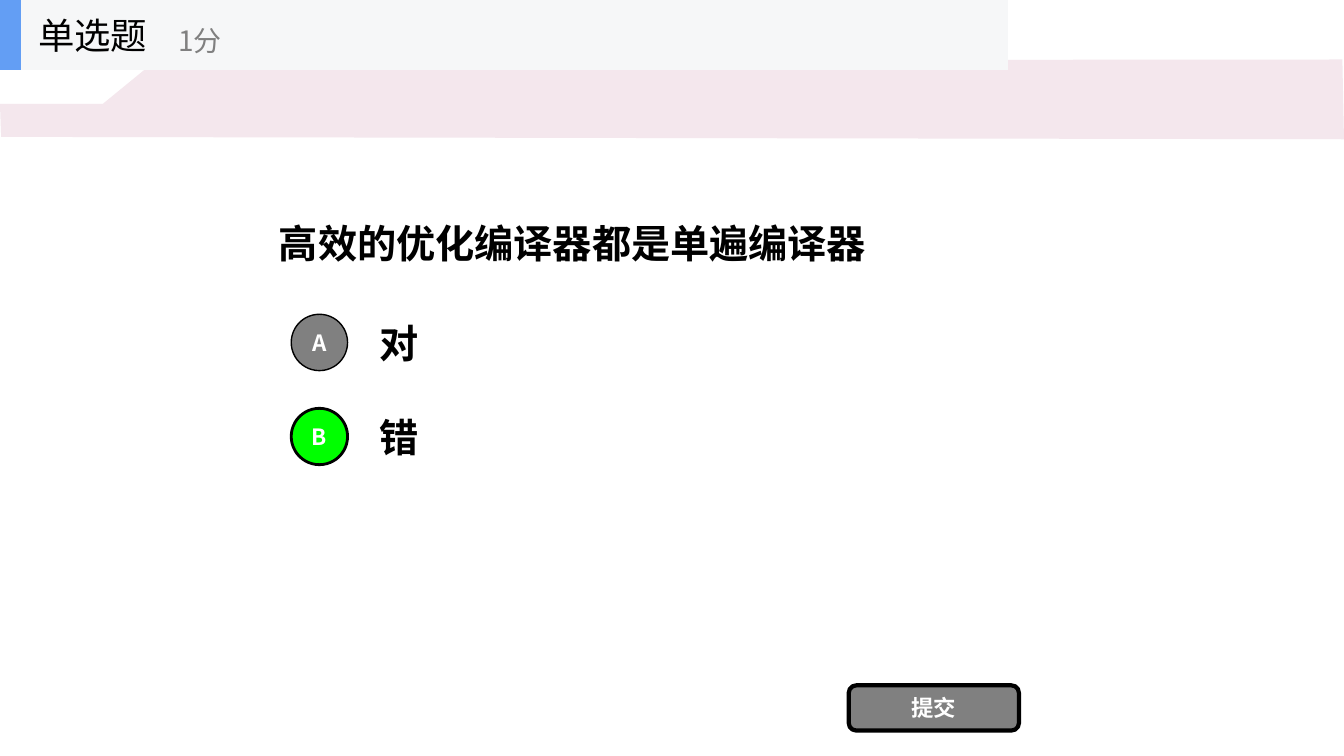
"""Build a single-choice quiz slide with two options and a submit button."""
from lxml.etree import SubElement
from pptx import Presentation
from pptx.dml.color import RGBColor
from pptx.enum.shapes import MSO_SHAPE as Preset
from pptx.enum.text import MSO_ANCHOR as Anchor, PP_ALIGN as Align
from pptx.oxml.ns import qn
from pptx.util import Cm, Pt

COLORS = {
    "black": "000000",
    "white": "FFFFFF",
    "gray": "808080",
    "green": "00FF00",
    "blue": "639EF4",
    "header": "F6F7F8",
    "band": "F4E7ED",
}


class QuizSlide:
    """Holds the quiz style and the slide being built."""

    def __init__(self, presentation, font_name):
        self.slide = presentation.slides.add_slide(presentation.slide_layouts[6])
        self.font_name = font_name

    def paint(self, shape, fill, line_width=0):
        """Give a shape its fill and optional black outline."""
        shape.shadow.inherit = False
        shape.fill.solid()
        shape.fill.fore_color.rgb = RGBColor.from_string(COLORS[fill])
        if line_width:
            shape.line.color.rgb = RGBColor.from_string(COLORS["black"])
            shape.line.width = Pt(line_width)
        else:
            shape.line.fill.background()

    def add_caption(self, shape, text, size, color, bold, align):
        """Put one vertically centred run into a shape."""
        frame = shape.text_frame
        frame.word_wrap = True
        frame.vertical_anchor = Anchor.MIDDLE
        paragraph = frame.paragraphs[0]
        paragraph.alignment = align
        run = paragraph.add_run()
        run.text = text
        run.font.size = Pt(size)
        run.font.bold = bold
        run.font.color.rgb = RGBColor.from_string(COLORS[color])
        run.font.name = self.font_name
        east_asian = SubElement(run.font._element, qn("a:ea"))
        east_asian.set("typeface", self.font_name)

    def band(self, points, fill):
        """Draw a closed outline through points given in centimetres."""
        corners = [(Cm(x), Cm(y)) for x, y in points]
        builder = self.slide.shapes.build_freeform(*corners[0])
        builder.add_line_segments(corners[1:], close=True)
        self.paint(builder.convert_to_shape(), fill)

    def block(self, preset, box, fill, line_width=0):
        """Draw a preset shape and return it."""
        shape = self.slide.shapes.add_shape(preset, *map(Cm, box))
        self.paint(shape, fill, line_width)
        return shape

    def label(self, box, text, size=28, color="black", bold=True):
        """Add left-aligned text."""
        shape = self.slide.shapes.add_textbox(*map(Cm, box))
        self.add_caption(shape, text, size, color, bold, Align.LEFT)

    def button(self, preset, box, text, fill, line_width):
        """Draw an outlined shape with a white caption."""
        shape = self.block(preset, box, fill, line_width)
        frame = shape.text_frame
        frame.margin_left = frame.margin_right = 0
        frame.margin_top = frame.margin_bottom = 0
        self.add_caption(shape, text, 16, "white", True, Align.CENTER)


def main():
    """Lay out the quiz and save it."""
    presentation = Presentation()
    presentation.slide_width = Cm(33.87)
    presentation.slide_height = Cm(19.05)
    quiz = QuizSlide(presentation, "Noto Sans CJK SC")

    quiz.band([(0, 2.62), (2.59, 2.62), (4.57, 1), (12.7, 1), (13.31, 1.52),
               (33.83, 1.5), (33.87, 3.51), (0.03, 3.45)], "band")
    quiz.label((6.78, 4.52, 20.32, 3.2), "高效的优化编译器都是单遍编译器")

    options = [("A", "对", "gray", 1), ("B", "错", "green", 2)]
    for index, (letter, answer, fill, line_width) in enumerate(options):
        top = 7.75 + index * 2.37
        quiz.label((9.32, top, 17.78, 1.78), answer)
        quiz.button(Preset.OVAL, (7.34, top + 0.17, 1.42, 1.42), letter, fill, line_width)
    quiz.button(Preset.ROUNDED_RECTANGLE, (21.39, 17.27, 4.29, 1.14), "提交", "gray", 3)

    quiz.block(Preset.RECTANGLE, (0, 0, 25.4, 1.76), "header")
    quiz.block(Preset.RECTANGLE, (0, 0, 0.53, 1.76), "blue")
    quiz.label((0.71, 0, 5.28, 1.76), "单选题", 26, bold=False)
    quiz.label((4.24, 0.3, 6.35, 1.42), "1分", 20, "gray", False)

    presentation.save("out.pptx")


if __name__ == "__main__":
    main()
